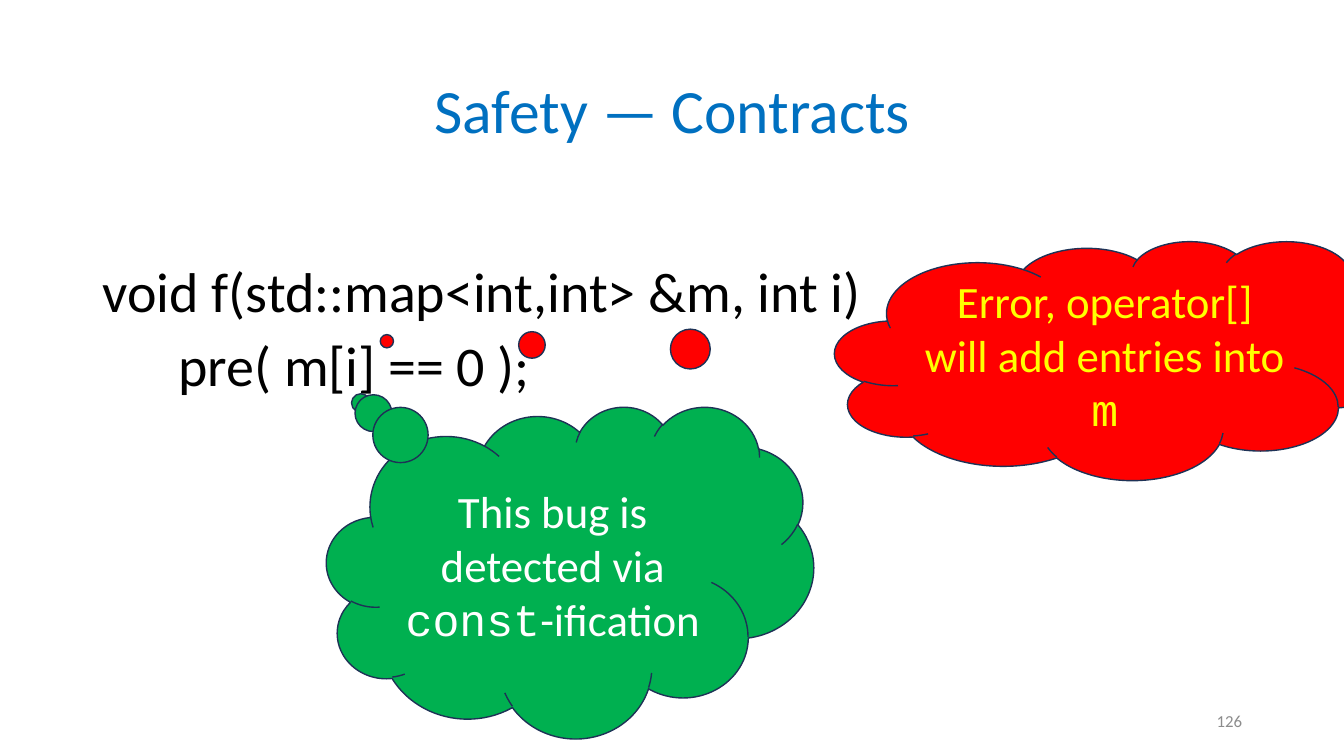
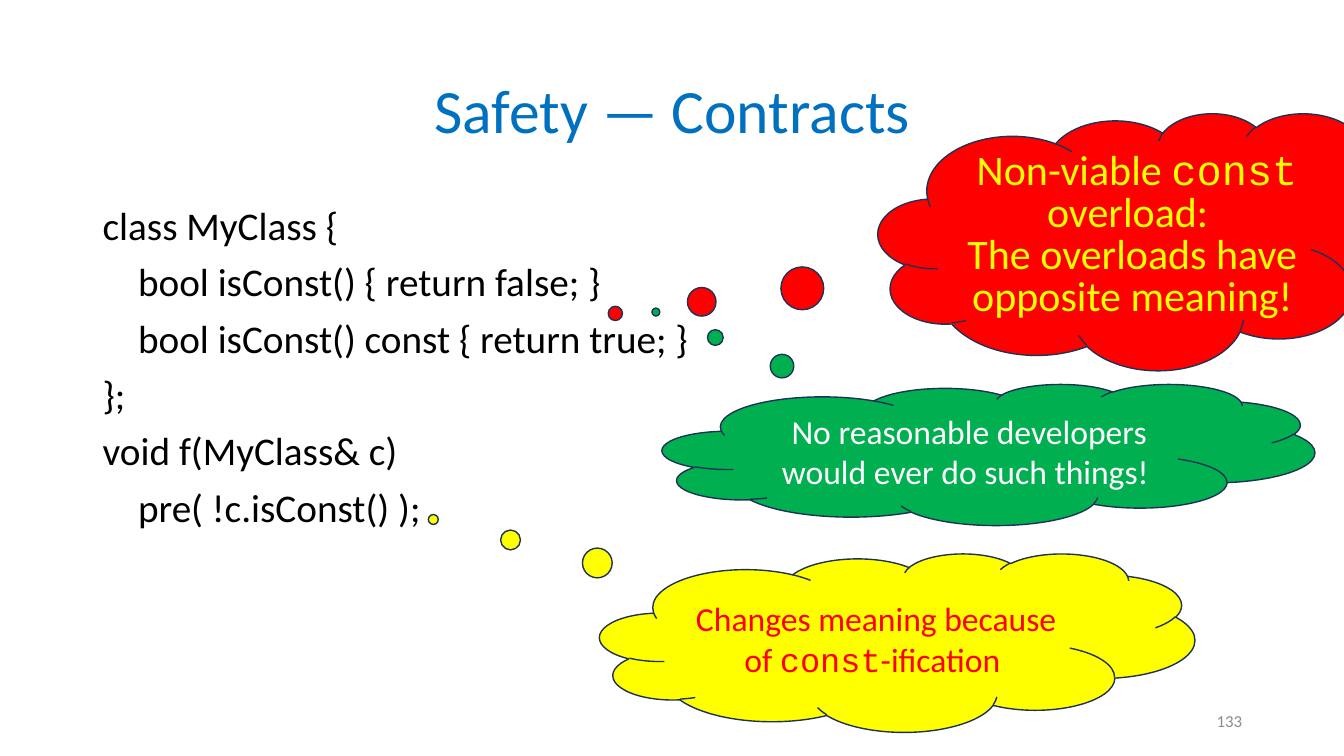
import pptx
import pptx.util
import pptx.dml.color
import pptx.enum.shapes
import pptx.enum.text

Inches, Pt = pptx.util.Inches, pptx.util.Pt
RGBColor = pptx.dml.color.RGBColor
ALIGN = pptx.enum.text.PP_ALIGN
ANCHOR = pptx.enum.text.MSO_ANCHOR

BLUE = RGBColor(0x00, 0x70, 0xC0)
BLACK = RGBColor(0x00, 0x00, 0x00)
WHITE = RGBColor(0xFF, 0xFF, 0xFF)
RED = RGBColor(0xFF, 0x00, 0x00)
YELLOW = RGBColor(0xFF, 0xFF, 0x00)
GREEN = RGBColor(0x00, 0xB0, 0x50)
OUTLINE = RGBColor(0x1E, 0x32, 0x56)
GRAY = RGBColor(0x8C, 0x8C, 0x8C)

SANS, MONO = "Calibri", "Courier New"
TITLE = "Safety — Contracts"
TITLE_AT = (0.92, 0.4, 11.5, 1.45)
NUMBER_AT = (9.42, 6.95, 3, 0.4)
BODY_LEFT, BODY_WIDTH, BODY_BOTTOM = 0.92, 11.5, 6.76

# Content: a paragraph is a list of (text, font) spans
SLIDES = [
    {
        "number": "126", "body_top": 2.57, "body_size": 40,
        "code": [
            "void f(std::map<int,int> &m, int i)",
            "      pre( m[i] == 0 );",
        ],
        "clouds": [
            {"at": (8.28, 2.39, 5.77, 2.37), "tail": (-1.27, -0.08),
             "fill": RED, "color": YELLOW, "size": 32,
             "text": [[("Error, operator[] will add entries into ", SANS),
                       ("m", MONO)]]},
            {"at": (3.24, 4.03, 4.83, 3.29), "tail": (-0.43, -0.51),
             "fill": GREEN, "color": WHITE, "size": 32,
             "text": [[("This bug is detected via ", SANS),
                       ("const", MONO), ("-ification", SANS)]]},
        ],
    },
    {
        "number": "133", "body_top": 2, "body_size": 28,
        "code": [
            "class MyClass {",
            "    bool isConst() { return false; }",
            "    bool isConst() const { return true; }",
            "};",
            "void f(MyClass& c)",
            "    pre( !c.isConst() );",
        ],
        "clouds": [
            {"at": (8.71, 1.12, 5.43, 2.55), "tail": (-0.98, 0.28),
             "fill": RED, "color": YELLOW, "size": 30, "spacing": Pt(30),
             "text": [[(" Non-viable ", SANS), ("const", MONO),
                       (" overload: ", SANS)],
                      [("The overloads have opposite meaning!", SANS)]]},
            {"at": (5.95, 5.49, 5.9, 1.77), "tail": (-0.78, -0.69),
             "fill": YELLOW, "color": RED, "size": 24,
             "text": [[("Changes meaning because of ", SANS),
                       ("const", MONO), ("-ification ", SANS)]]},
            {"at": (6.57, 3.81, 6.47, 1.4), "tail": (-0.51, -1.01),
             "fill": GREEN, "color": WHITE, "size": 24,
             "text": [[(" No reasonable developers would ever do such things!",
                        SANS)]]},
        ],
    },
]


def set_all(target, values):
    for name, value in values.items():
        setattr(target, name, value)


def write(box, paragraphs, size, color, anchor, para_format, gap=0):
    """Fill a box with paragraphs of (text, font) spans."""
    frame = box.text_frame
    set_all(frame, {"word_wrap": True, "vertical_anchor": anchor,
                    "auto_size": pptx.enum.text.MSO_AUTO_SIZE.NONE})
    for index, spans in enumerate(paragraphs):
        para = frame.add_paragraph() if index else frame.paragraphs[0]
        set_all(para, para_format)
        para.space_before = Pt(gap if index else 0)
        for text, font in spans:
            span = para.add_run()
            span.text = text
            set_all(span.font, {"name": font, "size": Pt(size)})
            span.font.color.rgb = color


def add_cloud(page, cloud):
    box = page.shapes.add_shape(
        pptx.enum.shapes.MSO_SHAPE.CLOUD_CALLOUT, *map(Inches, cloud["at"]))
    box.shadow.inherit = False
    for index, offset in enumerate(cloud["tail"]):
        box.adjustments[index] = offset
    box.fill.solid()
    box.fill.fore_color.rgb = cloud["fill"]
    box.line.color.rgb = OUTLINE
    box.line.width = Pt(1)
    write(box, cloud["text"], cloud["size"], cloud["color"], ANCHOR.MIDDLE,
          {"alignment": ALIGN.CENTER, "line_spacing": cloud.get("spacing")})


def add_page(deck, content):
    page = deck.slides.add_slide(deck.slide_layouts[5])

    # Title
    title = page.shapes.title
    set_all(title, dict(zip(("left", "top", "width", "height"),
                            map(Inches, TITLE_AT))))
    write(title, [[(TITLE, SANS)]], 44, BLUE, ANCHOR.MIDDLE,
          {"alignment": ALIGN.CENTER, "line_spacing": 0.9})

    # Code
    top = content["body_top"]
    body = page.shapes.add_textbox(
        *map(Inches, (BODY_LEFT, top, BODY_WIDTH, BODY_BOTTOM - top)))
    write(body, [[(line, SANS)] for line in content["code"]],
          content["body_size"], BLACK, ANCHOR.TOP,
          {"alignment": ALIGN.LEFT, "line_spacing": 0.9}, gap=10)

    # Thought clouds
    for cloud in content["clouds"]:
        add_cloud(page, cloud)

    # Slide number
    number = page.shapes.add_textbox(*map(Inches, NUMBER_AT))
    write(number, [[(content["number"], SANS)]], 12, GRAY, ANCHOR.MIDDLE,
          {"alignment": ALIGN.RIGHT})


def main():
    deck = pptx.Presentation()
    set_all(deck, {"slide_width": Inches(13.33), "slide_height": Inches(7.5)})
    for content in SLIDES:
        add_page(deck, content)
    deck.save("out.pptx")


if __name__ == "__main__":
    main()
